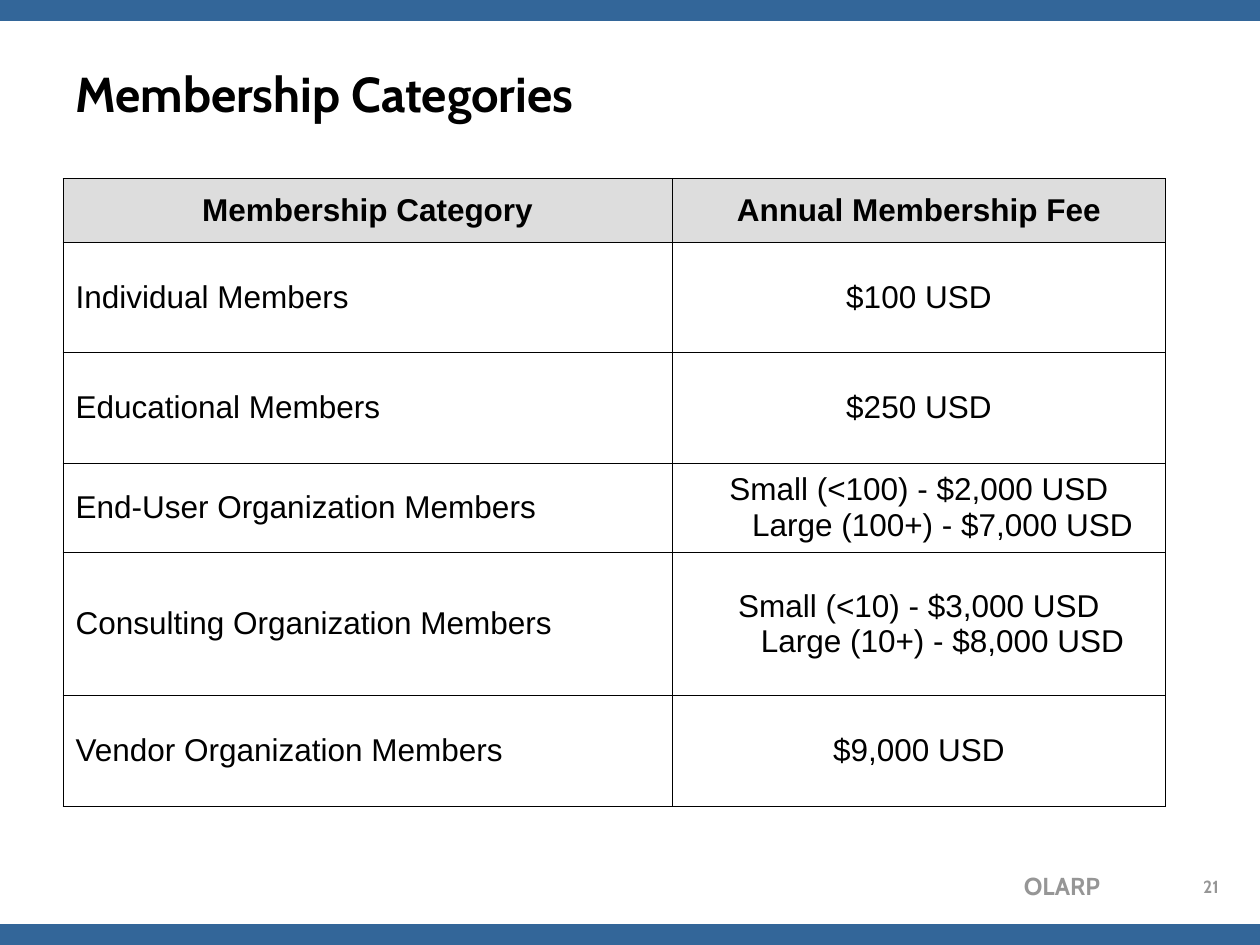
from typing import NamedTuple

from lxml import etree
from pptx import Presentation
from pptx.dml.color import RGBColor
from pptx.enum.shapes import MSO_SHAPE
from pptx.enum.text import MSO_ANCHOR, PP_ALIGN
from pptx.oxml.ns import qn
from pptx.util import Pt

RECTANGLE = MSO_SHAPE.RECTANGLE
TOP, MIDDLE = MSO_ANCHOR.TOP, MSO_ANCHOR.MIDDLE
LEFT, CENTER, RIGHT = PP_ALIGN.LEFT, PP_ALIGN.CENTER, PP_ALIGN.RIGHT

SLIDE_WIDTH, SLIDE_HEIGHT = 720, 540
BAR_HEIGHT = 12
BLUE, BLACK, GREY, HEADER_GREY = "336699", "000000", "969696", "DDDDDD"
BORDER_WIDTH = 0.45
HANGING_INDENT = 27
COLUMN_WIDTHS = (348.2, 281.8)


class Label(NamedTuple):
    text: str
    left: float
    top: float
    width: float
    height: float
    size: float
    color: str
    align: PP_ALIGN
    anchor: MSO_ANCHOR = TOP


class FeeRow(NamedTuple):
    category: str
    fee: str
    height: float


LABELS = (
    Label("OLARP", 447.8, 493.9, 188, 24, 14, GREY, RIGHT),
    Label("Membership Categories", 36, 21.6, 648, 63, 28, BLACK, LEFT, MIDDLE),
    Label("21", 676, 497, 32, 18, 10, GREY, CENTER),
)

FEE_ROWS = (
    FeeRow("Membership Category", "Annual Membership Fee", 36.3),
    FeeRow("Individual Members", "$100 USD", 63.2),
    FeeRow("Educational Members", "$250 USD", 63.2),
    FeeRow("End-User Organization Members",
           "Small (<100) - $2,000 USD\vLarge (100+) - $7,000 USD", 50.8),
    FeeRow("Consulting Organization Members",
           "Small (<10) - $3,000 USD\vLarge (10+) - $8,000 USD", 82),
    FeeRow("Vendor Organization Members", "$9,000 USD", 63.2),
)


def rgb(color: str) -> RGBColor:
    return RGBColor.from_string(color)


def format_runs(paragraph, font_name: str, size: float, color: str, bold: bool) -> None:
    for run in paragraph.runs:
        run.font.name = font_name
        run.font.size = Pt(size)
        run.font.bold = bold
        run.font.color.rgb = rgb(color)


def draw_bar(slide, top: float) -> None:
    bar = slide.shapes.add_shape(RECTANGLE, 0, Pt(top), Pt(SLIDE_WIDTH), Pt(BAR_HEIGHT))
    bar.shadow.inherit = False
    bar.fill.solid()
    bar.fill.fore_color.rgb = rgb(BLUE)
    bar.line.fill.background()


def draw_label(slide, label: Label) -> None:
    box = slide.shapes.add_textbox(
        Pt(label.left), Pt(label.top), Pt(label.width), Pt(label.height))
    frame = box.text_frame
    frame.word_wrap = True
    frame.vertical_anchor = label.anchor
    frame.text = label.text
    paragraph = frame.paragraphs[0]
    paragraph.alignment = label.align
    format_runs(paragraph, "Cabin", label.size, label.color, True)


def add_borders(cell) -> None:
    properties = cell._tc.get_or_add_tcPr()
    for side in ("a:lnL", "a:lnR", "a:lnT", "a:lnB"):
        border = etree.SubElement(properties, qn(side), w=str(Pt(BORDER_WIDTH)))
        fill = etree.SubElement(border, qn("a:solidFill"))
        etree.SubElement(fill, qn("a:srgbClr"), val=BLACK)


def fill_cell(cell, text: str, align: PP_ALIGN, is_header: bool) -> None:
    add_borders(cell)
    if is_header:
        cell.fill.solid()
        cell.fill.fore_color.rgb = rgb(HEADER_GREY)
    else:
        cell.fill.background()
    cell.vertical_anchor = MIDDLE
    cell.margin_left = cell.margin_right = Pt(7.2)
    cell.margin_top = cell.margin_bottom = Pt(3.6)
    paragraph = cell.text_frame.paragraphs[0]
    paragraph.text = text
    paragraph.alignment = align
    indents = paragraph._p.get_or_add_pPr()
    indents.set("marL", str(Pt(HANGING_INDENT)))
    indents.set("indent", str(Pt(-HANGING_INDENT)))
    format_runs(paragraph, "Arial", 18, BLACK, is_header)


def draw_fee_table(slide) -> None:
    table_height = sum(row.height for row in FEE_ROWS)
    fees = slide.shapes.add_table(
        len(FEE_ROWS), len(COLUMN_WIDTHS), Pt(36), Pt(102),
        Pt(sum(COLUMN_WIDTHS)), Pt(table_height)).table
    fees.horz_banding = False
    fees.first_row = False
    for column, width in zip(fees.columns, COLUMN_WIDTHS):
        column.width = Pt(width)
    for index, row in enumerate(FEE_ROWS):
        is_header = index == 0
        fees.rows[index].height = Pt(row.height)
        fill_cell(fees.cell(index, 0), row.category, CENTER if is_header else LEFT, is_header)
        fill_cell(fees.cell(index, 1), row.fee, CENTER, is_header)


def main() -> None:
    deck = Presentation()
    deck.slide_width, deck.slide_height = Pt(SLIDE_WIDTH), Pt(SLIDE_HEIGHT)
    slide = deck.slides.add_slide(deck.slide_layouts[6])
    for top in (0, SLIDE_HEIGHT - BAR_HEIGHT):
        draw_bar(slide, top)
    for label in LABELS:
        draw_label(slide, label)
    draw_fee_table(slide)
    deck.save("out.pptx")


if __name__ == "__main__":
    main()
